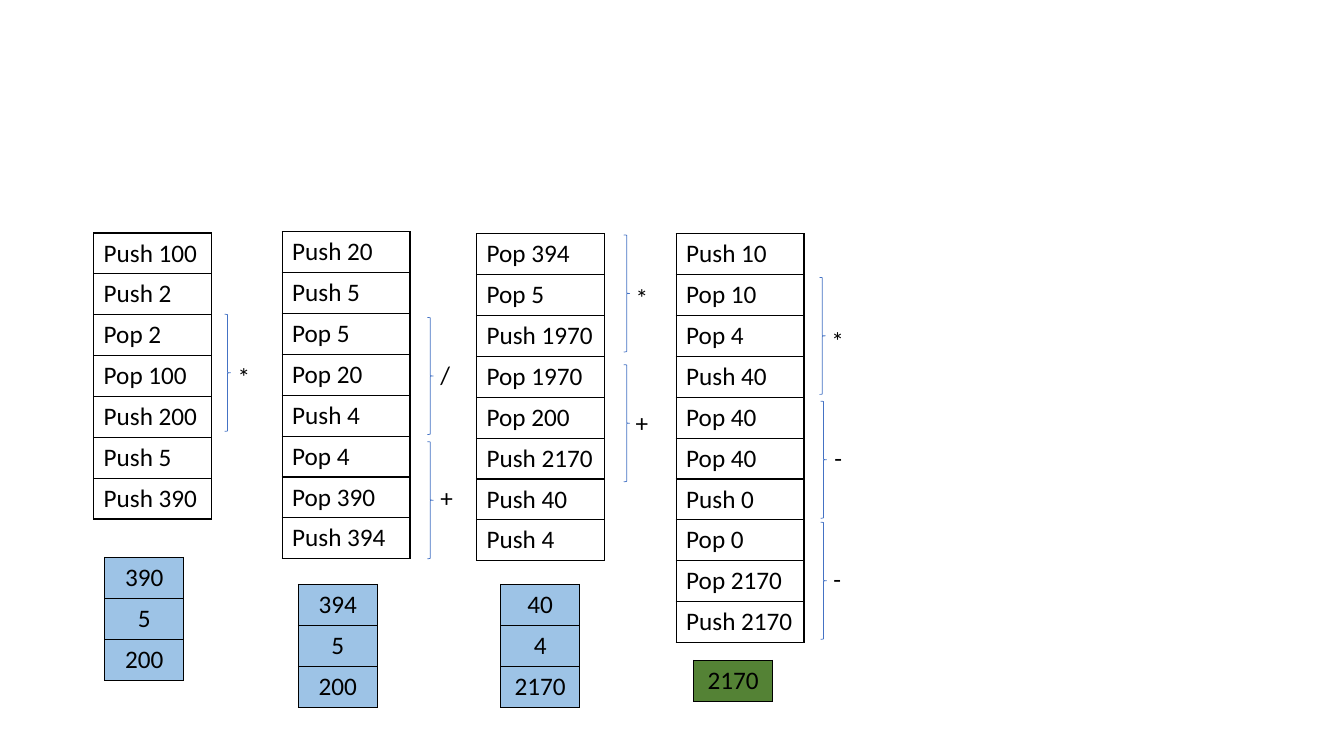
from lxml import etree
from pptx import Presentation
from pptx import util as u
from pptx.dml.color import RGBColor
from pptx.enum import shapes, text
from pptx.oxml.ns import qn

COLORS = {"ink": "000000", "brace": "4472C4", "stack": "9DC3E6", "result": "548235"}
ROW_H = 1.03


def add_run(p, words):
    r = p.add_run()
    r.text = words
    r.font.size = u.Pt(18)
    r.font.name = "Calibri"
    r.font.color.rgb = RGBColor.from_string(COLORS["ink"])


def add_column(s, left, top, width, values, fill=None):
    """Add a bordered one-column table; filled columns have centred text."""
    frame = s.shapes.add_table(len(values), 1, u.Cm(left), u.Cm(top),
                               u.Cm(width), u.Cm(ROW_H * len(values)))
    table = frame.table
    table.first_row = table.horz_banding = False
    for i, value in enumerate(values):
        table.rows[i].height = u.Cm(ROW_H)
        cell = table.cell(i, 0)
        tc_pr = cell._tc.get_or_add_tcPr()
        for side in ("lnL", "lnR", "lnT", "lnB"):
            ln = etree.SubElement(tc_pr, qn("a:" + side), w=str(u.Pt(1)))
            solid = etree.SubElement(ln, qn("a:solidFill"))
            etree.SubElement(solid, qn("a:srgbClr"), val=COLORS["ink"])
        p = cell.text_frame.paragraphs[0]
        if fill:
            cell.fill.solid()
            cell.fill.fore_color.rgb = RGBColor.from_string(COLORS[fill])
            p.alignment = text.PP_ALIGN.CENTER
        else:
            cell.fill.background()
        add_run(p, value)


prs = Presentation()
prs.slide_width, prs.slide_height = u.Cm(33.87), u.Cm(19.05)
s = prs.slides.add_slide(prs.slide_layouts[6])

# Stack operations: left, top, width, steps
operations = [
    (2.36, 5.87, 2.98, ["Push 100", "Push 2", "Pop 2", "Pop 100", "Push 200",
                        "Push 5", "Push 390"]),
    (7.11, 5.84, 3.22, ["Push 20", "Push 5", "Pop 5", "Pop 20", "Push 4",
                        "Pop 4", "Pop 390", "Push 394"]),
    (12.01, 5.89, 3.22, ["Pop 394", "Pop 5", "Push 1970", "Pop 1970", "Pop 200",
                         "Push 2170", "Push 40", "Push 4"]),
    (17.04, 5.89, 3.22, ["Push 10", "Pop 10", "Pop 4", "Push 40", "Pop 40",
                         "Pop 40", "Push 0", "Pop 0", "Pop 2170", "Push 2170"]),
]
for left, top, width, steps in operations:
    add_column(s, left, top, width, steps)

# Operators: brace left and top, label left and top, symbol
operators = [
    (5.66, 7.92, 5.74, 8.99, "*"),
    (10.77, 8.0, 10.85, 8.94, "/"),
    (10.77, 11.13, 10.85, 12.04, "+"),
    (15.72, 5.92, 15.77, 6.99, "*"),
    (15.72, 9.19, 15.77, 10.13, "+"),
    (20.65, 6.99, 20.7, 8.08, "*"),
    (20.68, 10.11, 20.78, 11.02, "-"),
    (20.68, 13.16, 20.75, 14.07, "-"),
]
for brace_left, brace_top, label_left, label_top, symbol in operators:
    sp = s.shapes.add_shape(shapes.MSO_SHAPE.RIGHT_BRACE, u.Cm(brace_left),
                            u.Cm(brace_top), u.Cm(0.15), u.Cm(2.95))
    sp.shadow.inherit = False
    sp.fill.background()
    sp.line.color.rgb = RGBColor.from_string(COLORS["brace"])
    sp.line.width = u.Pt(0.5)

    label = s.shapes.add_textbox(u.Cm(label_left), u.Cm(label_top),
                                 u.Cm(0.61), u.Cm(1.02))
    tf = label.text_frame
    tf.word_wrap = True
    tf.auto_size = text.MSO_AUTO_SIZE.SHAPE_TO_FIT_TEXT
    add_run(tf.paragraphs[0], symbol)

# Stack contents after each column of operations: left, top, values, fill
contents = [
    (2.64, 14.05, ["390", "5", "200"], "stack"),
    (7.52, 14.73, ["394", "5", "200"], "stack"),
    (12.62, 14.73, ["40", "4", "2170"], "stack"),
    (17.48, 16.64, ["2170"], "result"),
]
for left, top, values, fill in contents:
    add_column(s, left, top, 1.99, values, fill)

prs.save("out.pptx")
